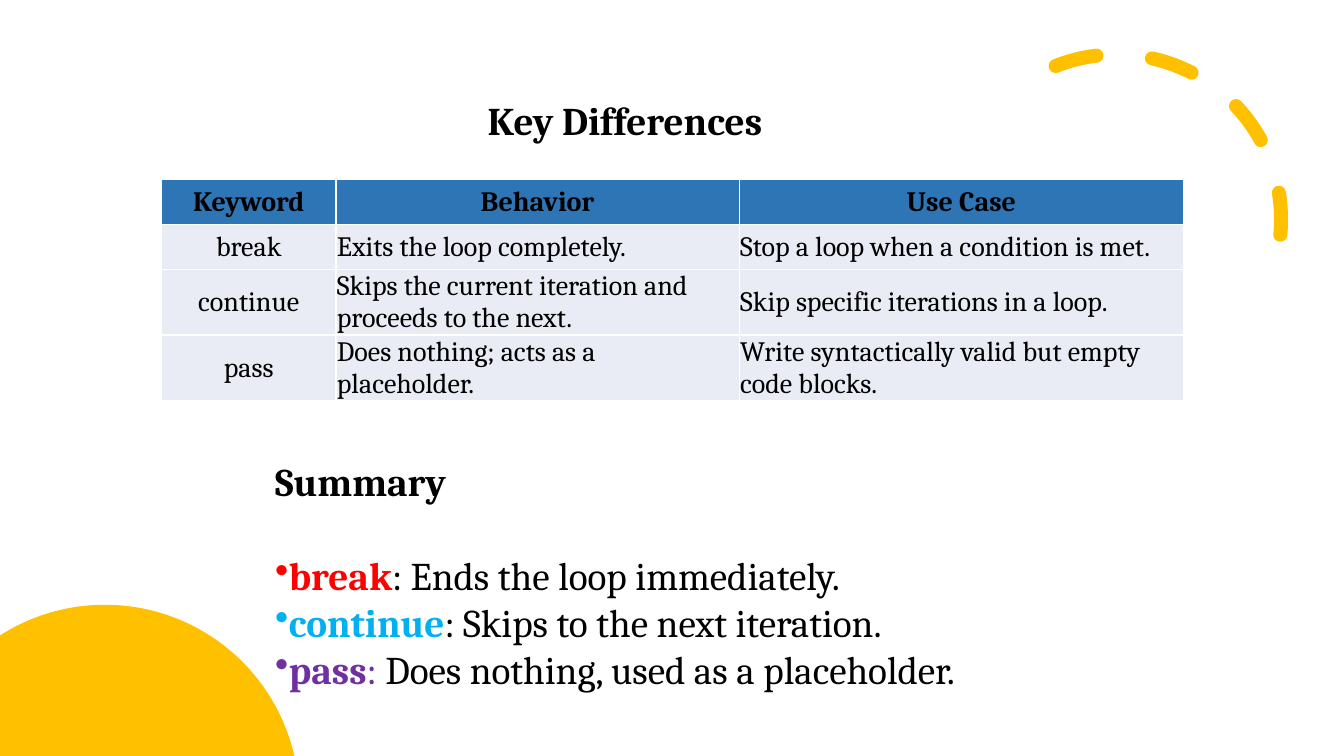
from math import acos, asin, cos, sin

from lxml import etree
from pptx import Presentation
from pptx.dml.color import RGBColor as RGB
from pptx.enum.dml import MSO_LINE
from pptx.enum.shapes import MSO_SHAPE as Shape
from pptx.enum.text import MSO_ANCHOR as Anchor, PP_ALIGN as Align
from pptx.oxml.ns import qn
from pptx.util import Pt

HUES = {
    "gold": "FFC000", "head": "2E75B6", "row": "E9EBF5", "black": "000000",
    "red": "FF0000", "blue": "00B0F0", "violet": "7030A0",
}


def hue(name):
    return RGB.from_string(HUES[name])


def add_run(para, text, size, bold=False, color="black"):
    run = para.add_run()
    run.text = text
    font = run.font
    font.name, font.size, font.bold = "Cambria", Pt(size), bold
    font.color.rgb = hue(color)


deck = Presentation()
deck.slide_width, deck.slide_height = Pt(960), Pt(540)
slide = deck.slides.add_slide(deck.slide_layouts[6])
shapes = slide.shapes

# Dashed arc, top right
arc = shapes.add_shape(Shape.ARC, Pt(679.7), Pt(38.9), Pt(235.4), Pt(235.4))
arc.adjustments[0], arc.adjustments[1] = 144.42, 0
arc.rotation = 66.1
arc.shadow.inherit = False
arc.fill.background()
arc.line.color.rgb = hue("gold")
arc.line.width = Pt(10)
arc.line.dash_style = MSO_LINE.DASH
arc.line._ln.set("cap", "rnd")
arc._element.spPr.find(qn("a:xfrm")).set("flipH", "1")

# Disc cut off by the left and bottom slide edges
mid_x, mid_y, rad = 74.9, 570.8, 138.8
start, end = acos(-mid_x / rad), asin((mid_y - 540) / rad)
steps = 80
turns = [start + (end - start) * i / steps for i in range(steps + 1)]
rim = [(mid_x + rad * cos(t), mid_y - rad * sin(t)) for t in turns]
pen = shapes.build_freeform(0, Pt(540), scale=1.0)
pen.add_line_segments([(Pt(x), Pt(y)) for x, y in rim], close=True)
disc = pen.convert_to_shape()
disc.shadow.inherit = False
disc.fill.solid()
disc.fill.fore_color.rgb = hue("gold")
disc.line.fill.background()

# Table of keywords
rows = [
    ("Keyword", "Behavior", "Use Case"),
    ("break", "Exits the loop completely.", "Stop a loop when a condition is met."),
    ("continue", "Skips the current iteration and proceeds to the next.",
     "Skip specific iterations in a loop."),
    ("pass", "Does nothing; acts as a placeholder.",
     "Write syntactically valid but empty code blocks."),
]
frame = shapes.add_table(4, 3, Pt(115.4), Pt(128.3), Pt(730.1), Pt(161.3))
table = frame.table
table.horz_banding = False
for col, width in zip(table.columns, (124.6, 288, 317.5)):
    col.width = Pt(width)
for r, words in enumerate(rows):
    table.rows[r].height = Pt(32.1)
    for c, text in enumerate(words):
        cell = table.cell(r, c)
        cell.fill.solid()
        cell.fill.fore_color.rgb = hue("row" if r else "head")
        cell.vertical_anchor = Anchor.MIDDLE
        cell.margin_left = cell.margin_right = cell.margin_top = Pt(0.7)
        cell.margin_bottom = 0
        para = cell.text_frame.paragraphs[0]
        para.alignment = Align.LEFT if r and c else Align.CENTER
        add_run(para, text, 20, bold=r == 0)
frame.height = Pt(161.3)

# Title
title = shapes.add_textbox(Pt(341.3), Pt(65.5), Pt(244.1), Pt(41)).text_frame
title.word_wrap = True
add_run(title.paragraphs[0], "Key Differences", 28, bold=True)

# Summary with bullets
body = shapes.add_textbox(Pt(189.4), Pt(321.8), Pt(531.4), Pt(211)).text_frame
body.word_wrap = True
body.margin_top = Pt(5)
add_run(body.paragraphs[0], "Summary", 28, bold=True)
points = [
    ("break", "red", ": ", "black", "Ends the loop immediately."),
    ("continue", "blue", ": ", "black", "Skips to the next iteration."),
    ("pass", "violet", ": ", "violet", "Does nothing, used as a placeholder."),
]
for i, (word, color, colon, tint, text) in enumerate(points):
    para = body.add_paragraph()
    etree.SubElement(para._p.get_or_add_pPr(), qn("a:buChar")).set("char", "•")
    if i == 0:
        para.space_before = Pt(33.5)
    add_run(para, word, 28, bold=True, color=color)
    add_run(para, colon, 28, color=tint)
    add_run(para, text, 28)

deck.save("out.pptx")
